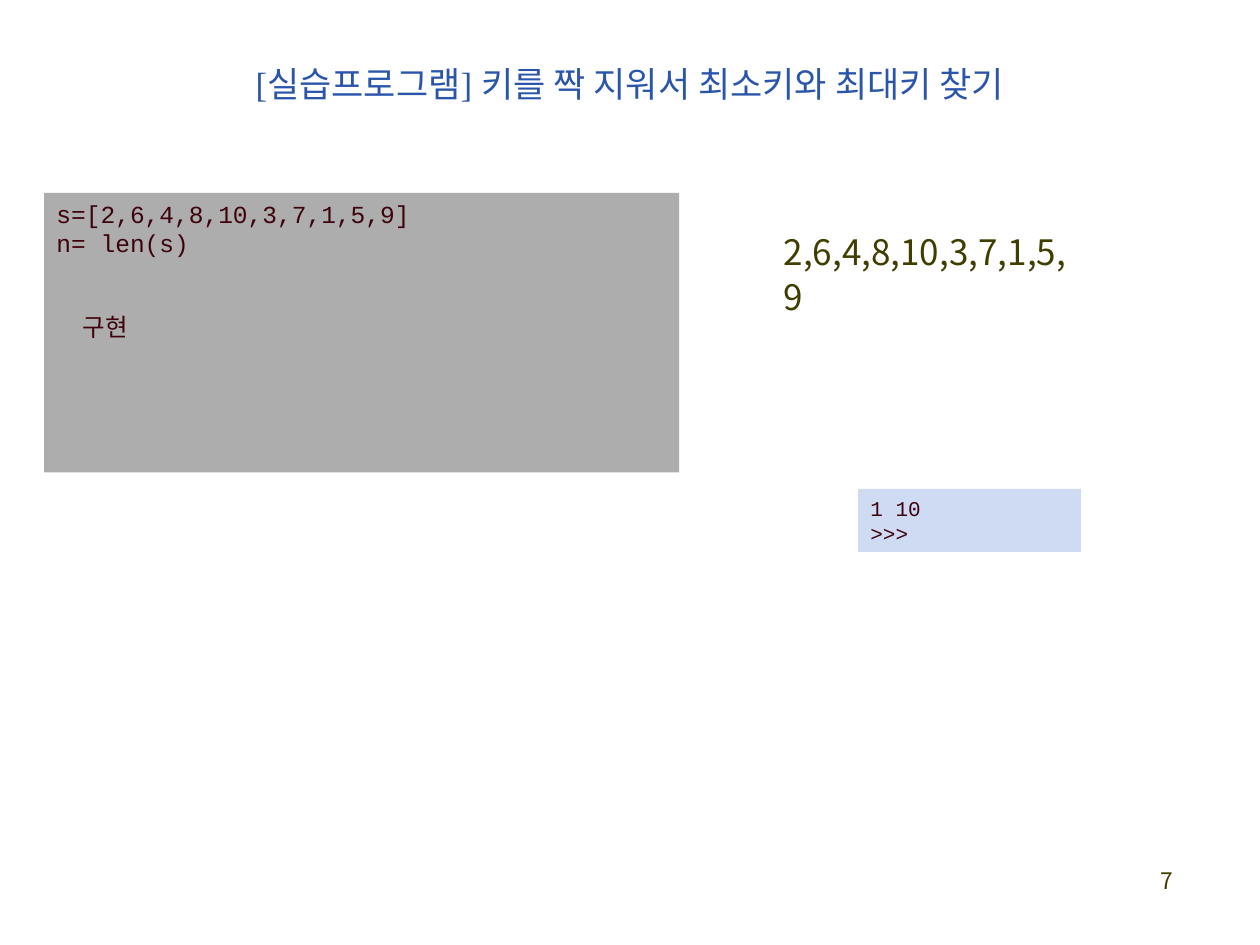
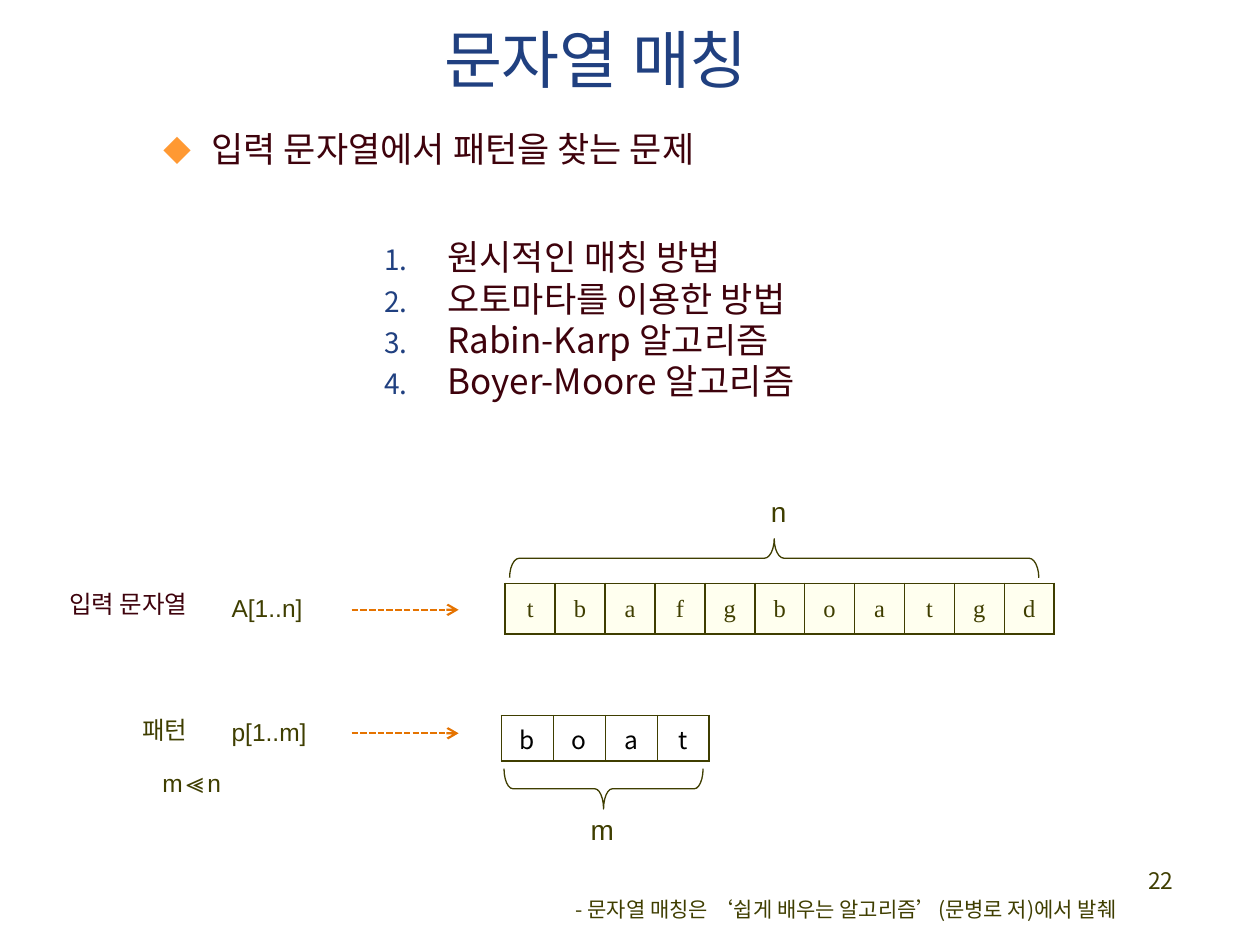
from lxml import etree
from pptx import Presentation
from pptx.dml.color import RGBColor
from pptx.enum import dml, shapes, text
from pptx.oxml import ns
from pptx.util import Inches, Pt

OLIVE = RGBColor(0x3F, 0x3E, 0x00)
WINE = RGBColor(0x3E, 0x02, 0x0C)
BLUE = RGBColor(0x2A, 0x55, 0xAA)
NAVY = RGBColor(0x20, 0x40, 0x80)
GRAY = RGBColor(0xAD, 0xAD, 0xAD)
PALE = RGBColor(0xCF, 0xDB, 0xF3)
CREAM = RGBColor(0xFF, 0xFF, 0xEF)
ORANGE = RGBColor(0xE5, 0x73, 0x00)
BLACK = RGBColor(0, 0, 0)

NOTO, ARIAL = "Noto Sans CJK KR", "Arial"
TIMES, MONO = "Times New Roman", "Courier New"
LEFT, MID, RIGHT = text.PP_ALIGN.LEFT, text.PP_ALIGN.CENTER, text.PP_ALIGN.RIGHT
FIT = {"word_wrap": False, "auto_size": text.MSO_AUTO_SIZE.SHAPE_TO_FIT_TEXT}
TIGHT = {"margin_left": Inches(0.01), "margin_right": Inches(0.01),
         "margin_top": Inches(0.01), "margin_bottom": 0}


def add(parent, tag, **attrs):
    """Append a drawing element such as a:ln and return it."""
    return etree.SubElement(parent, ns.qn(tag), attrs)


def write(frame, lines, size, font, ink, align=LEFT, pitch=1.0, gap=0, bullet=None):
    """Fill a text frame; bullet is (tag, attributes, colour, indent)."""
    for i, line in enumerate(lines):
        para = frame.paragraphs[0] if i == 0 else frame.add_paragraph()
        if bullet:
            tag, attrs, tint, dent = bullet
            props = para._p.get_or_add_pPr()
            props.set("marL", str(Inches(dent)))
            props.set("indent", str(-Inches(dent)))
            add(add(props, "a:buClr"), "a:srgbClr", val=tint)
            add(props, "a:buSzPct", val="80000")
            add(props, "a:buFont", typeface=NOTO)
            add(props, tag, **attrs)
        form = {"alignment": align, "line_spacing": pitch,
                "space_before": Pt(gap if i else 0), "space_after": Pt(0)}
        for key, val in form.items():
            setattr(para, key, val)
        run = para.add_run()
        run.text = line
        for key, val in {"size": Pt(size), "name": font, "bold": False}.items():
            setattr(run.font, key, val)
        run.font.color.rgb = ink
        add(run._r.get_or_add_rPr(), "a:ea", typeface=NOTO)


deck = Presentation()
deck.slide_width, deck.slide_height = Inches(10), Inches(7.5)
code = deck.slides.add_slide(deck.slide_layouts[5])
match = deck.slides.add_slide(deck.slide_layouts[3])

# Titles and page numbers
heads = [
    (code, "[실습프로그램] 키를 짝 지워서 최소키와 최대키 찾기", 20, BLUE, (0.75, 0.29, 8.5, 0.75), "7"),
    (match, "문자열 매칭", 36, NAVY, (0.16, 0.09, 9.14, 0.75), "22"),
]
for slide, words, size, ink, spot, page in heads:
    title = slide.shapes.title
    title.left, title.top, title.width, title.height = map(Inches, spot)
    title.text_frame.auto_size = text.MSO_AUTO_SIZE.NONE
    title.text_frame.vertical_anchor = text.MSO_ANCHOR.MIDDLE
    write(title.text_frame, [words], size, TIMES, ink, MID)
    foot = slide.shapes.add_textbox(*map(Inches, (7.33, 6.83, 2.08, 0.5)))
    foot.text_frame.word_wrap = True
    write(foot.text_frame, [page], 13, NOTO, OLIVE, RIGHT)

# Program and its output
panels = [
    ((0.35, 1.53, 5.04, 2.22), GRAY, 14, ["s=[2,6,4,8,10,3,7,1,5,9]", "n= len(s)", "구현"]),
    ((6.81, 3.88, 1.77, 0.5), PALE, 12, ["1 10", ">>>"]),
]
for spot, fill, size, lines in panels:
    panel = code.shapes.add_shape(shapes.MSO_SHAPE.RECTANGLE, *map(Inches, spot))
    panel.shadow.inherit = False
    panel.fill.solid()
    panel.fill.fore_color.rgb = fill
    panel.line.fill.background()
    panel.text_frame.word_wrap = True
    panel.text_frame.vertical_anchor = text.MSO_ANCHOR.TOP
    write(panel.text_frame, lines, size, MONO, WINE)
    if len(lines) == 3:
        task = panel.text_frame.paragraphs[2]
        task.space_before = Pt(31)
        task._p.get_or_add_pPr().set("marL", str(Inches(0.21)))

keys = code.shapes.add_textbox(*map(Inches, (6.18, 1.76, 2.33, 0.41))).text_frame
keys.word_wrap = True
for side in ("left", "right", "top", "bottom"):
    setattr(keys, f"margin_{side}", Inches(0.04))
write(keys, ["2,6,4,8,10,3,7,1,5,9"], 20, NOTO, OLIVE, pitch=Pt(26))

# Problem and methods
lists = [
    (1, (1.2, 1.0, 4.88, 0.4), ["입력 문자열에서 패턴을 찾는 문제"],
     ("a:buChar", {"char": "◆"}, "FF9933", 0.38)),
    (2, (2.95, 1.86, 3.71, 1.65),
     ["원시적인 매칭 방법", "오토마타를 이용한 방법", "Rabin-Karp 알고리즘", "Boyer-Moore 알고리즘"],
     ("a:buAutoNum", {"type": "arabicPeriod"}, "204080", 0.5)),
]
for slot, spot, lines, bullet in lists:
    body = match.placeholders[slot]
    body.left, body.top, body.width, body.height = map(Inches, spot)
    for key, val in FIT.items():
        setattr(body.text_frame, key, val)
    write(body.text_frame, lines, 20, NOTO, WINE, pitch=0.9, gap=2, bullet=bullet)

# Labels around the arrays
labels = [
    ("A[1..n]", (1.74, 4.68, 0.77, 0.31), 14, ARIAL, OLIVE),
    ("p[1..m]", (1.74, 5.67, 0.8, 0.31), 14, ARIAL, OLIVE),
    ("입력 문자열", (0.45, 4.65, 1.25, 0.31), 14, NOTO, WINE),
    ("패턴", (1.03, 5.65, 0.59, 0.31), 14, NOTO, OLIVE),
    ("m≪n", (1.19, 6.07, 0.67, 0.31), 14, ARIAL, OLIVE),
    ("n", (6.02, 3.91, 0.33, 0.34), 16, ARIAL, OLIVE),
    ("m", (4.59, 6.43, 0.4, 0.34), 16, ARIAL, OLIVE),
    ("- 문자열 매칭은 ‘쉽게 배우는 알고리즘’(문병로 저)에서 발췌", (4.47, 7.09, 4.98, 0.28), 12, NOTO, OLIVE),
]
for words, spot, size, font, ink in labels:
    frame = match.shapes.add_textbox(*map(Inches, spot)).text_frame
    for key, val in FIT.items():
        setattr(frame, key, val)
    write(frame, [words], size, font, ink, pitch=0.9)

# Braces that measure n and m
for spot, turn, curl in [((5.99, 2.33, 0.31, 4.2), 270, 0.25), ((4.63, 5.47, 0.32, 1.58), 90, 0.22)]:
    brace = match.shapes.add_shape(shapes.MSO_SHAPE.RIGHT_BRACE, *map(Inches, spot))
    brace.rotation = turn
    brace.adjustments[0] = curl
    brace.shadow.inherit = False
    brace.fill.background()
    brace.line.color.rgb = OLIVE
    brace.line.width = Pt(0.75)

# Input string and pattern
arrays = [
    ("tbafgboatgd", (4.01, 4.63, 4.36, 0.4), TIMES, OLIVE, CREAM),
    ("boat", (3.98, 5.68, 1.65, 0.36), NOTO, BLACK, None),
]
for word, spot, font, ink, fill in arrays:
    grid = match.shapes.add_table(1, len(word), *map(Inches, spot)).table
    grid.first_row = grid.horz_banding = False
    for i, char in enumerate(word):
        grid.columns[i].width = Inches(spot[2] / len(word))
        cell = grid.cell(0, i)
        for key, val in {**TIGHT, "vertical_anchor": text.MSO_ANCHOR.MIDDLE}.items():
            setattr(cell, key, val)
        for edge in "LRTB":
            rule = add(cell._tc.get_or_add_tcPr(), f"a:ln{edge}", w=str(Pt(1)))
            add(add(rule, "a:solidFill"), "a:srgbClr", val=str(OLIVE))
        if fill:
            cell.fill.solid()
            cell.fill.fore_color.rgb = fill
        else:
            cell.fill.background()
        write(cell.text_frame, [char], 14, font, ink, MID)

# Arrows from the labels to the arrays
for y in (4.84, 5.82):
    arrow = match.shapes.add_connector(
        shapes.MSO_CONNECTOR.STRAIGHT, *map(Inches, (2.79, y, 3.64, y)))
    arrow.line.color.rgb = ORANGE
    arrow.line.width = Pt(1.25)
    arrow.line.dash_style = dml.MSO_LINE.SQUARE_DOT
    add(arrow.line._get_or_add_ln(), "a:tailEnd", type="arrow")
    add(arrow._element.spPr, "a:effectLst")

deck.save("out.pptx")
